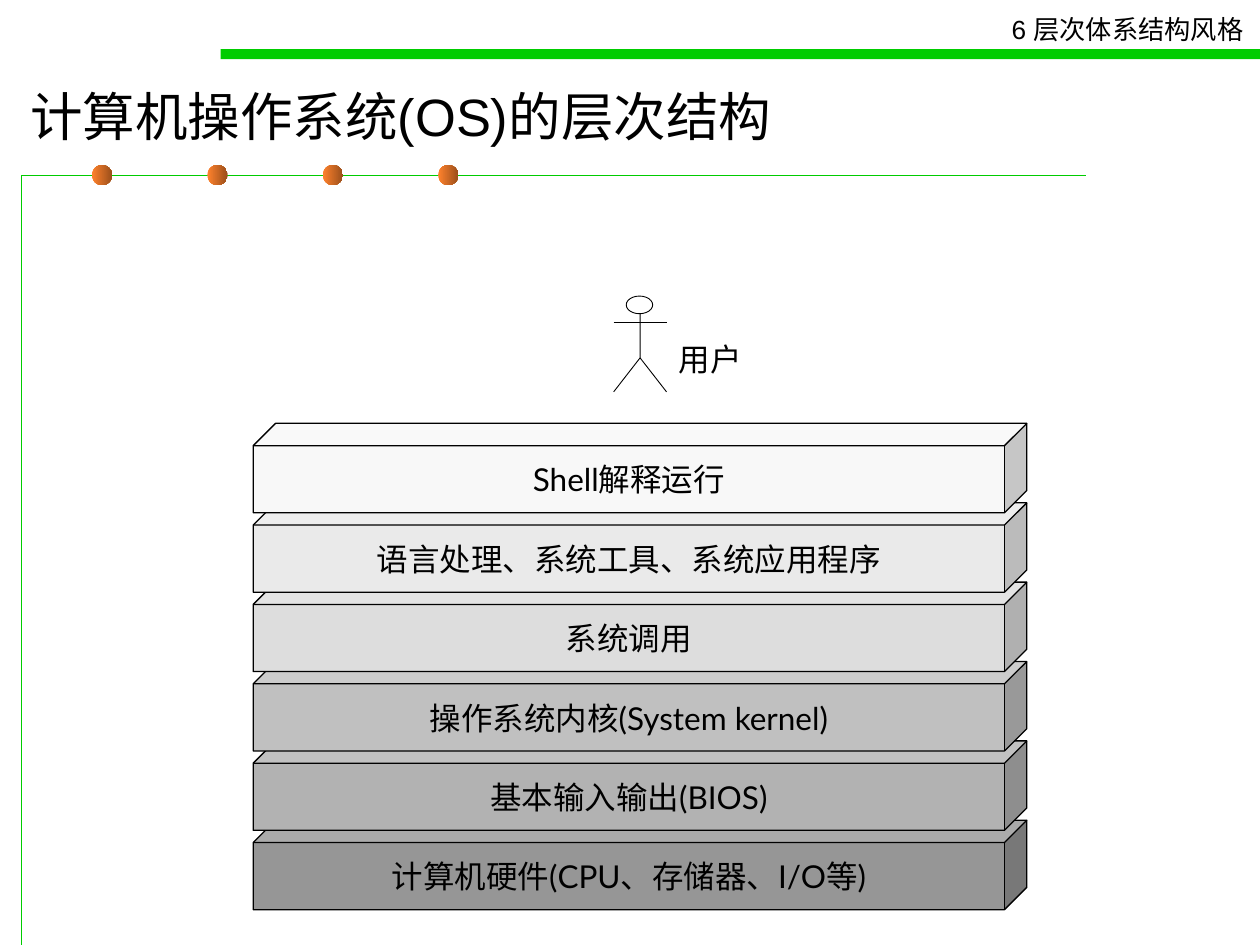
import pptx
import pptx.util
import pptx.dml.color
import pptx.enum.shapes
import pptx.enum.text

Inches = pptx.util.Inches
Shape = pptx.enum.shapes.MSO_SHAPE
Align = pptx.enum.text.PP_ALIGN
Anchor = pptx.enum.text.MSO_ANCHOR


def paint(shape, fill=None, line=None, width=0.75):
    shape.shadow.inherit = False
    for part, value in ((shape.fill, fill), (shape.line.fill, line)):
        if value:
            part.solid()
            part.fore_color.rgb = pptx.dml.color.RGBColor.from_string(value)
        else:
            part.background()
    if line:
        shape.line.width = pptx.util.Pt(width)


def write(shape, text, size=18, font="Lato", color="000000",
          align=Align.LEFT, anchor=Anchor.TOP, wrap=False):
    frame = shape.text_frame
    frame.word_wrap = wrap
    frame.vertical_anchor = anchor
    paragraph = frame.paragraphs[0]
    paragraph.alignment = align
    run = paragraph.add_run()
    run.text = text
    run.font.size = pptx.util.Pt(size)
    run.font.name = font
    run.font.color.rgb = pptx.dml.color.RGBColor.from_string(color)


presentation = pptx.Presentation()
presentation.slide_width = Inches(10)
presentation.slide_height = Inches(7.5)
slide = presentation.slides.add_slide(presentation.slide_layouts[5])
shapes = slide.shapes

title = shapes.title
title.left, title.top = Inches(0.14), Inches(0.56)
title.width, title.height = Inches(9.29), Inches(0.71)
write(title, "计算机操作系统(OS)的层次结构", size=30, font="Arial",
      anchor=Anchor.MIDDLE, wrap=True)

builder = shapes.build_freeform(Inches(0.17), Inches(7.5))
builder.add_line_segments(
    [(Inches(0.17), Inches(1.39)), (Inches(8.62), Inches(1.39))], close=False)
paint(builder.convert_to_shape(), line="00CC00")

for index in range(4):
    dot = shapes.add_shape(Shape.OVAL, Inches(0.73 + 0.916 * index),
                           Inches(1.31), Inches(0.16), Inches(0.16))
    paint(dot)
    dot.fill.gradient()
    dot.fill.gradient_angle = 0
    for stop, position, color in zip(dot.fill.gradient_stops, (0, 1),
                                     ("FF822D", "9B4F1B")):
        stop.position = position
        stop.color.rgb = pptx.dml.color.RGBColor.from_string(color)

bar = shapes.add_shape(Shape.RECTANGLE, Inches(1.75), Inches(0.39),
                       Inches(8.25), Inches(0.08))
paint(bar, fill="00CC00")

chapter = shapes.add_textbox(Inches(7.93), Inches(0.06), Inches(2.09), Inches(0.35))
write(chapter, "6 层次体系结构风格", size=15, font="Arial")

layers = [
    ("计算机硬件(CPU、存储器、I/O等)", "969696"),
    ("基本输入输出(BIOS)", "B2B2B2"),
    ("操作系统内核(System kernel)", "C0C0C0"),
    ("系统调用", "DDDDDD"),
    ("语言处理、系统工具、系统应用程序", "EAEAEA"),
    ("Shell解释运行", "F8F8F8"),
]
for index, (label, color) in enumerate(layers):
    layer = shapes.add_shape(Shape.CUBE, Inches(2.01), Inches(6.51 - 0.63 * index),
                             Inches(6.14), Inches(0.71))
    layer.adjustments[0] = 0.25
    paint(layer, fill=color, line="000000")
    write(layer, label, align=Align.CENTER, anchor=Anchor.MIDDLE)

user = shapes.add_group_shape()
head = user.shapes.add_shape(Shape.OVAL, Inches(4.97), Inches(2.35),
                             Inches(0.21), Inches(0.14))
paint(head, fill="FFFFFF", line="000000", width=0.5)

strokes = [
    [(4.87, 2.56), (5.29, 2.56)],
    [(5.08, 2.84), (5.29, 3.11)],
    [(5.08, 2.49), (5.08, 2.84), (4.87, 3.11)],
]
builder = user.shapes.build_freeform(Inches(4.87), Inches(2.56))
for index, stroke in enumerate(strokes):
    points = [(Inches(x), Inches(y)) for x, y in stroke]
    if index:
        builder.move_to(*points[0])
    builder.add_line_segments(points[1:], close=False)
paint(builder.convert_to_shape(), line="000000", width=0.5)

user_label = shapes.add_textbox(Inches(5.29), Inches(2.65), Inches(0.7), Inches(0.4))
write(user_label, "用户")

presentation.save("out.pptx")
